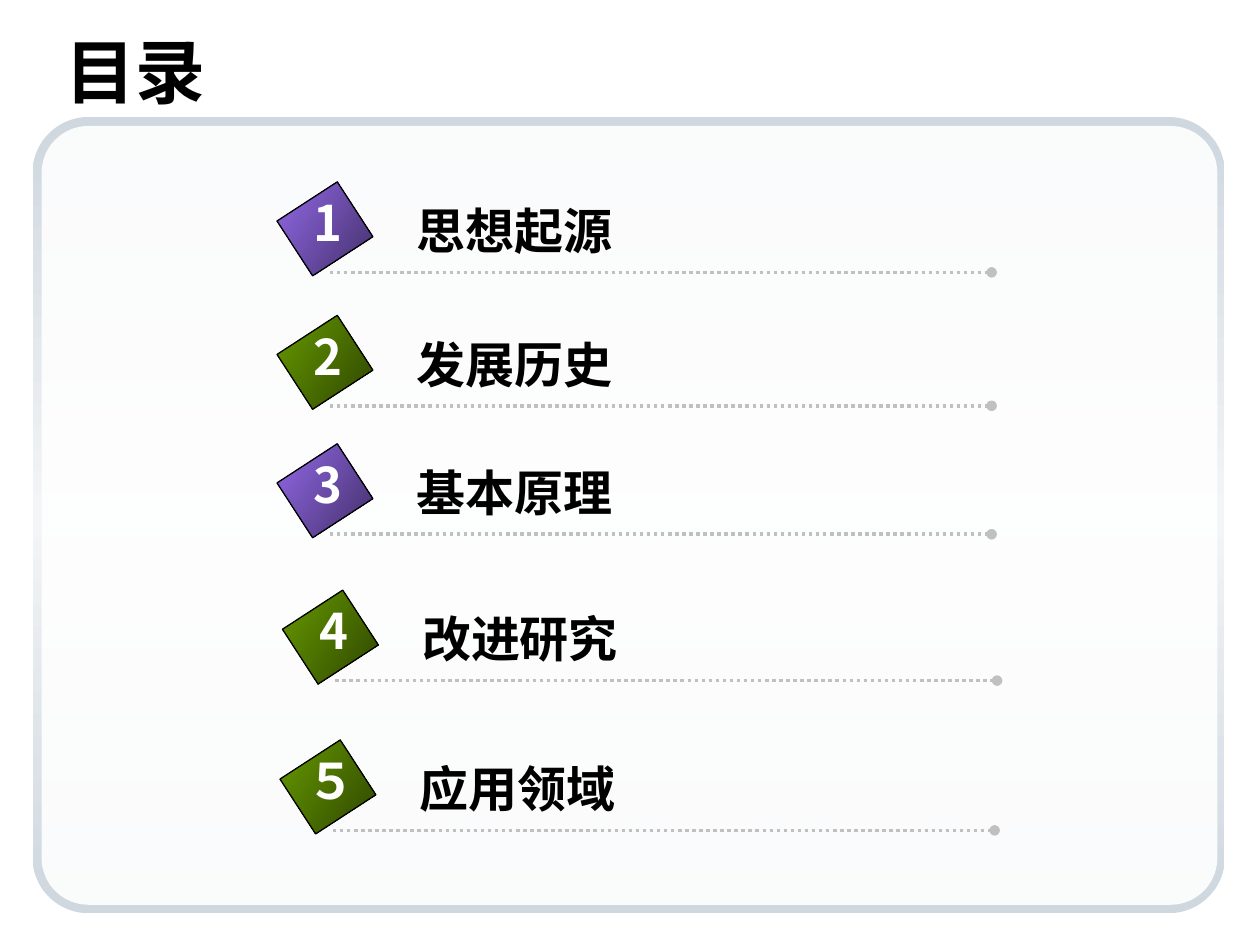
"""Build a contents slide with five numbered topics."""
import pptx
import pptx.dml.color
import pptx.enum.dml
import pptx.enum.shapes
import pptx.enum.text
import pptx.oxml
import pptx.oxml.ns
import pptx.util
from lxml import etree

Cm = pptx.util.Cm
Pt = pptx.util.Pt
qn = pptx.oxml.ns.qn
SHAPES = pptx.enum.shapes.MSO_SHAPE
ALIGN = pptx.enum.text.PP_ALIGN
ANCHOR = pptx.enum.text.MSO_ANCHOR


def colour(hex_value):
    return pptx.dml.color.RGBColor.from_string(hex_value)


class Deck:
    cjk_font = "Noto Sans CJK SC"
    title_font = "Times New Roman"
    ink = "000000"
    white = "FFFFFF"
    rule_grey = "C0C0C0"
    purple = ("9369E7", "43306A")
    green = ("669900", "2F4600")
    frame = ("CFD7DF", "F3F5F7", "CFD7DF")

    def __init__(self, presentation):
        self.slide = presentation.slides.add_slide(presentation.slide_layouts[6])

    def shape(self, preset, left, top, width, height):
        shape = self.slide.shapes.add_shape(
            preset, Cm(left), Cm(top), Cm(width), Cm(height))
        shape.shadow.inherit = False
        shape.line.fill.background()
        return shape

    def gradient(self, shape, colours, angle):
        shape.fill.gradient()
        gradient = shape._element.spPr.find(qn("a:gradFill"))
        gradient.set("rotWithShape", "0")
        stops = gradient.find(qn("a:gsLst"))
        for stop in list(stops):
            stops.remove(stop)
        for index, value in enumerate(colours):
            position = 100000 * index // (len(colours) - 1)
            stop = etree.SubElement(stops, qn("a:gs"), pos=str(position))
            etree.SubElement(stop, qn("a:srgbClr"), val=value)
        shape.fill.gradient_angle = 360 - angle

    def panel(self, left, top, width, height, rounding):
        panel = self.shape(SHAPES.ROUNDED_RECTANGLE, left, top, width, height)
        panel.adjustments[0] = rounding
        return panel

    def framed_panel(self):
        border = self.panel(0.66, 2.36, 24.03, 16.05, 0.07)
        self.gradient(border, self.frame, 90)
        inside = self.panel(0.84, 2.54, 23.7, 15.7, 0.06)
        inside.fill.solid()
        inside.fill.fore_color.rgb = colour(self.white)
        tint = inside._element.spPr.find(qn("a:solidFill"))[0]
        etree.SubElement(tint, qn("a:alpha"), val="90000")

    def text(self, wording, left, top, width, height, size=28, hex_value=ink,
             font=cjk_font, align=ALIGN.LEFT, anchor=ANCHOR.TOP, wrap=False):
        box = self.slide.shapes.add_textbox(
            Cm(left), Cm(top), Cm(width), Cm(height))
        frame = box.text_frame
        frame.word_wrap = wrap
        frame.vertical_anchor = anchor
        paragraph = frame.paragraphs[0]
        paragraph.text = wording
        paragraph.alignment = align
        paragraph.font.size = Pt(size)
        paragraph.font.bold = True
        paragraph.font.name = font
        paragraph.font.color.rgb = colour(hex_value)
        defaults = paragraph._p.pPr.find(qn("a:defRPr"))
        etree.SubElement(defaults, qn("a:ea"), typeface=self.cjk_font)

    def dotted_rule(self, left, top, length):
        rule = self.slide.shapes.add_connector(
            pptx.enum.shapes.MSO_CONNECTOR.STRAIGHT,
            Cm(left), Cm(top), Cm(left + length), Cm(top))
        rule.line.color.rgb = colour(self.rule_grey)
        rule.line.width = Pt(2)
        rule.line.dash_style = pptx.enum.dml.MSO_LINE.ROUND_DOT
        properties = rule._element.spPr
        etree.SubElement(properties.find(qn("a:ln")), qn("a:tailEnd"), type="oval")
        etree.SubElement(properties, qn("a:effectLst"))

    def diamond(self, left, top, colours):
        diamond = self.shape(SHAPES.RECTANGLE, left, top, 1.32, 1.45)
        diamond.rotation = 57
        self.gradient(diamond, colours, 33)
        diamond.line.color.rgb = colour(self.ink)
        diamond.line.width = Pt(0.75)

    def topic(self, number, wording, left, baseline, colours, number_width=1.07):
        self.dotted_rule(left, baseline, 13.34)
        self.diamond(left - 0.76, baseline - 1.6, colours)
        self.text(wording, left + 1.5, baseline - 1.57, 4.45, 1.45)
        self.text(number, left - 0.04 - number_width / 2, baseline - 1.73,
                  number_width, 1.45, hex_value=self.white, align=ALIGN.CENTER)


def main():
    presentation = pptx.Presentation()
    presentation.slide_width = Cm(25.4)
    presentation.slide_height = Cm(19.05)
    deck = Deck(presentation)
    deck.framed_panel()
    deck.text("目录", 1.07, 0.64, 23.7, 1.57, size=40, font=deck.title_font,
              anchor=ANCHOR.MIDDLE, wrap=True)
    deck.topic("1", "思想起源", 6.65, 5.49, deck.purple)
    deck.topic("2", "发展历史", 6.65, 8.18, deck.green)
    deck.topic("3", "基本原理", 6.65, 10.77, deck.purple)
    deck.topic("4", "改进研究", 6.76, 13.72, deck.green)
    deck.topic("５", "应用领域", 6.71, 16.74, deck.green, number_width=1.5)
    presentation.save("out.pptx")


if __name__ == "__main__":
    main()
